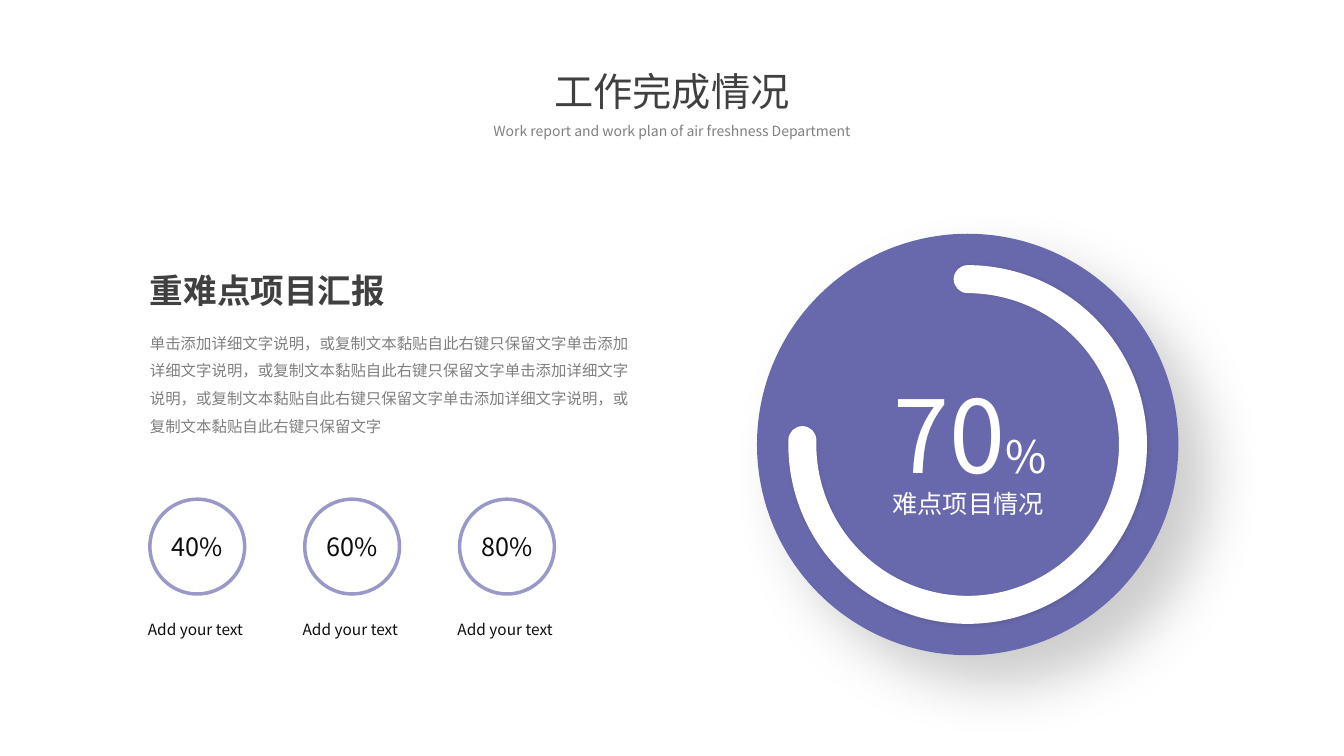
import dataclasses
import typing

import lxml.etree
import pptx
import pptx.dml.color
import pptx.enum.shapes
import pptx.enum.text
import pptx.oxml.ns
import pptx.util

Pt = pptx.util.Pt
Align = pptx.enum.text.PP_ALIGN
Shape = pptx.enum.shapes.MSO_SHAPE


@dataclasses.dataclass(frozen=True)
class Theme:
    font: str = "Noto Sans CJK SC"
    purple: str = "6868AC"
    lilac: str = "9998C8"
    white: str = "FFFFFF"
    black: str = "000000"
    ink: str = "0D0D0D"
    heading: str = "404040"
    muted: str = "808080"
    figure_size: float = 72
    unit_size: float = 32
    title_size: float = 28
    heading_size: float = 24
    label_size: float = 18
    body_size: float = 11
    subtitle_size: float = 10


THEME = Theme()


@dataclasses.dataclass(frozen=True)
class Box:
    left: float
    top: float
    width: float
    height: float

    def lengths(self) -> tuple:
        return Pt(self.left), Pt(self.top), Pt(self.width), Pt(self.height)


@dataclasses.dataclass(frozen=True)
class Text:
    box: Box
    words: str
    size: float
    color: str
    align: Align = Align.CENTER
    bold: bool = False
    spacing: float = 1.0


@dataclasses.dataclass(frozen=True)
class Shadow:
    color: str
    opacity: int
    blur: float
    distance: float
    angle: int


@dataclasses.dataclass(frozen=True)
class Ring:
    percent: str
    label: str


def rgb(color: str) -> pptx.dml.color.RGBColor:
    return pptx.dml.color.RGBColor.from_string(color)


def write_text(shape: typing.Any, text: Text) -> typing.Any:
    frame = shape.text_frame
    frame.word_wrap = True
    frame.auto_size = pptx.enum.text.MSO_AUTO_SIZE.NONE
    frame.vertical_anchor = pptx.enum.text.MSO_ANCHOR.TOP
    frame.margin_left = frame.margin_top = frame.margin_right = frame.margin_bottom = 0
    paragraph = frame.paragraphs[0]
    paragraph.text = text.words
    paragraph.alignment = text.align
    paragraph.line_spacing = text.spacing
    paragraph.space_before = Pt(0)
    font = paragraph.font
    font.name = THEME.font
    font.size = Pt(text.size)
    font.bold = text.bold
    font.color.rgb = rgb(text.color)
    properties = paragraph._p.pPr.find(pptx.oxml.ns.qn("a:defRPr"))
    latin = properties.find(pptx.oxml.ns.qn("a:latin"))
    east_asian = lxml.etree.Element(pptx.oxml.ns.qn("a:ea"), typeface=THEME.font)
    latin.addnext(east_asian)
    return paragraph


def add_text(shapes: typing.Any, text: Text) -> typing.Any:
    return write_text(shapes.add_textbox(*text.box.lengths()), text)


def add_outline(shapes: typing.Any, kind: Shape, box: Box, color: str, weight: float) -> typing.Any:
    shape = shapes.add_shape(kind, *box.lengths())
    shape.shadow.inherit = False
    shape.fill.background()
    shape.line.color.rgb = rgb(color)
    shape.line.width = Pt(weight)
    return shape


def add_shadow(shape: typing.Any, shadow: Shadow) -> None:
    shape.shadow.inherit = False
    effects = shape._element.spPr.find(pptx.oxml.ns.qn("a:effectLst"))
    outer = lxml.etree.SubElement(
        effects, pptx.oxml.ns.qn("a:outerShdw"), blurRad=str(Pt(shadow.blur)),
        dist=str(Pt(shadow.distance)), dir=str(shadow.angle * 60000),
        algn="ctr", rotWithShape="0")
    color = lxml.etree.SubElement(outer, pptx.oxml.ns.qn("a:srgbClr"), val=shadow.color)
    lxml.etree.SubElement(color, pptx.oxml.ns.qn("a:alpha"), val=str(shadow.opacity * 1000))


def add_gauge(shapes: typing.Any) -> None:
    disc = shapes.add_shape(Shape.OVAL, *Box(540.7, 167, 301, 301).lengths())
    disc.fill.solid()
    disc.fill.fore_color.rgb = rgb(THEME.purple)
    disc.line.fill.background()
    add_shadow(disc, Shadow(THEME.muted, 40, 40, 30, 45))
    arc = add_outline(shapes, Shape.ARC, Box(573.1, 199.4, 236.2, 236.2), THEME.white, 20)
    arc.adjustments[0] = 162
    arc.adjustments[1] = 108.91
    arc.line._get_or_add_ln().set("cap", "rnd")
    add_shadow(arc, Shadow(THEME.black, 10, 3, 0, 0))
    figure = add_text(shapes, Text(Box(596.2, 266.4, 193, 87), "70", THEME.figure_size, THEME.white))
    unit = figure.add_run()
    unit.text = "%"
    unit.font.size = Pt(THEME.unit_size)
    add_text(shapes, Text(Box(569.6, 348.5, 244, 22), "难点项目情况", THEME.label_size, THEME.white))


def add_rings(shapes: typing.Any, rings: list[Ring]) -> None:
    left, top, diameter, pitch = 107.1, 356.6, 67.7, 110.6
    for index, ring in enumerate(rings):
        group = shapes.add_group_shape().shapes
        x = left + index * pitch
        add_outline(group, Shape.OVAL, Box(x, top, diameter, diameter), THEME.lilac, 2.5)
        add_text(group, Text(Box(x, top + 23, diameter, 22), ring.percent, THEME.label_size, THEME.ink))
        add_text(group, Text(Box(x - 11.3, top + 86.2, 87.7, 14), ring.label, THEME.body_size, THEME.ink))


def main() -> None:
    presentation = pptx.Presentation()
    presentation.slide_width = Pt(960)
    presentation.slide_height = Pt(540)
    slide = presentation.slides.add_slide(presentation.slide_layouts[5])
    shapes = slide.shapes

    title = Text(Box(241, 48.2, 478, 34), "工作完成情况", THEME.title_size, THEME.heading)
    shapes.title.left, shapes.title.top, shapes.title.width, shapes.title.height = title.box.lengths()
    write_text(shapes.title, title)
    add_text(shapes, Text(Box(255.6, 88.6, 448.6, 11), "Work report and work plan of air freshness Department",
                          THEME.subtitle_size, THEME.muted, spacing=0.9))

    add_gauge(shapes)
    add_text(shapes, Text(Box(107.1, 187.2, 283, 32), "重难点项目汇报", THEME.heading_size,
                          THEME.heading, Align.LEFT, True, 1.2))
    add_text(shapes, Text(
        Box(107.1, 231.8, 348.5, 80),
        "单击添加详细文字说明，或复制文本黏贴自此右键只保留文字"
        "单击添加详细文字说明，或复制文本黏贴自此右键只保留文字"
        "单击添加详细文字说明，或复制文本黏贴自此右键只保留文字"
        "单击添加详细文字说明，或复制文本黏贴自此右键只保留文字",
        THEME.body_size, THEME.muted, Align.LEFT, spacing=1.5))
    add_rings(shapes, [Ring(percent, "Add your text") for percent in ("40%", "60%", "80%")])

    presentation.save("out.pptx")


if __name__ == "__main__":
    main()
